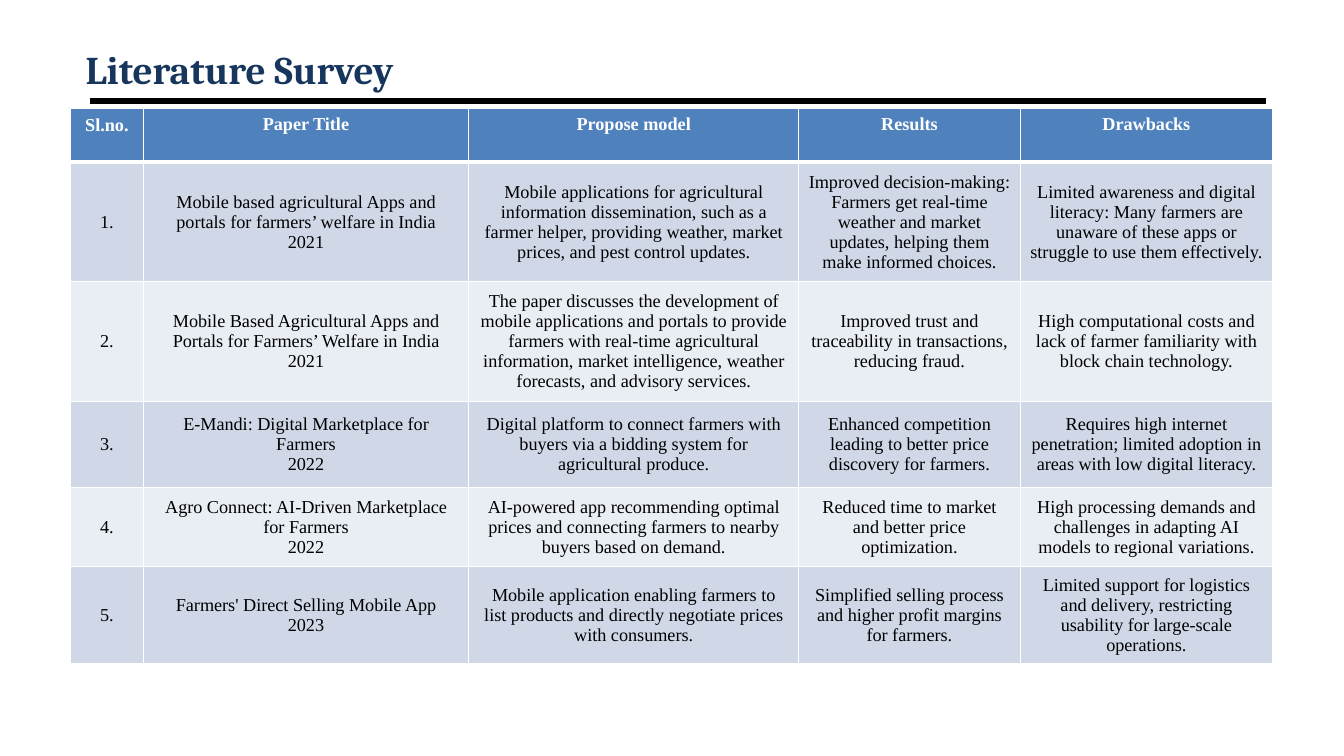
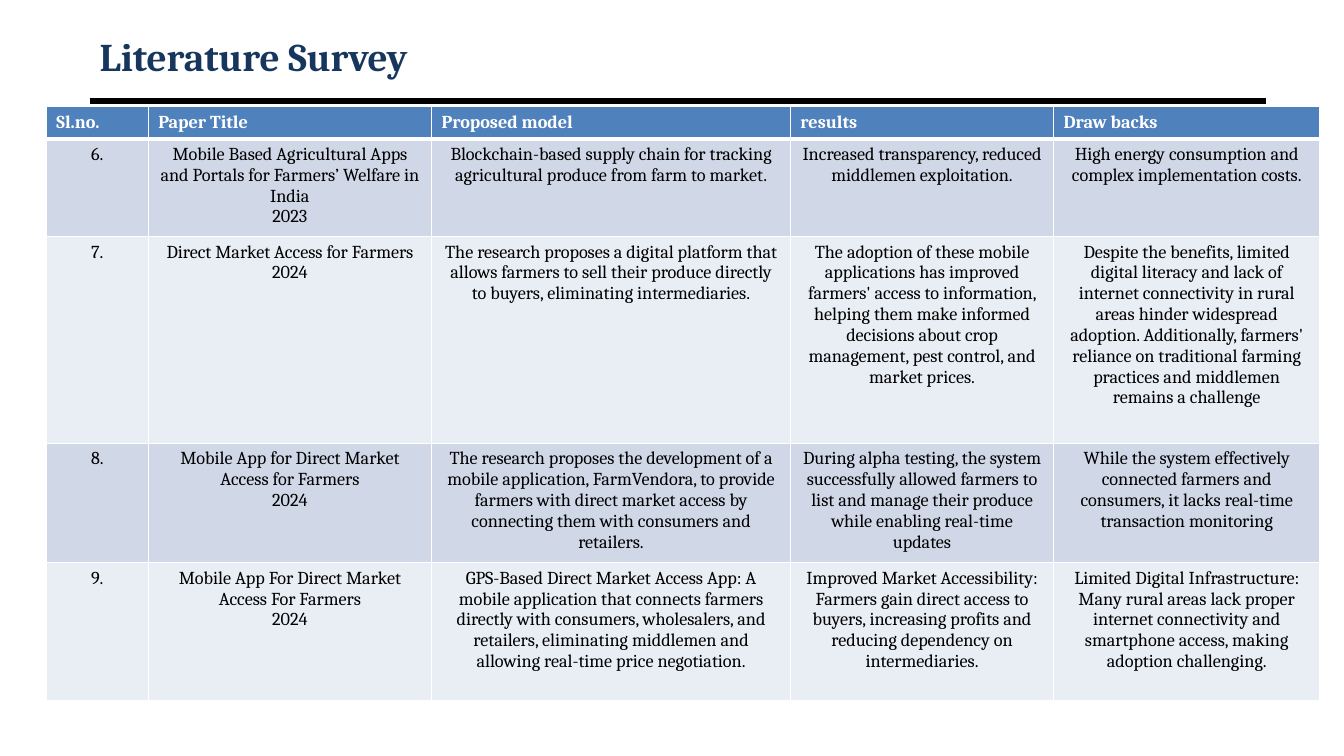
from lxml import etree
from pptx import Presentation
from pptx.dml.color import RGBColor
from pptx.enum import shapes, text
from pptx.oxml import ns
from pptx.util import Inches, Pt

NAVY, BLACK, WHITE = "17365D", "000000", "FFFFFF"
HEADER_FILL, BANDS = "4F81BD", ("D0D8E8", "E9EDF4")
SERIF, TIMES = "Cambria", "Times New Roman"
MIDDLE, TOP = text.MSO_ANCHOR.MIDDLE, text.MSO_ANCHOR.TOP
CENTER, LEFT = text.PP_ALIGN.CENTER, text.PP_ALIGN.LEFT

# Rows: number, paper title and year, model, results, drawbacks
EARLY_PAPERS = [
    ("Sl.no.", "Paper Title", "Propose model", "Results", "Drawbacks"),
    ("1.", "Mobile based agricultural Apps and portals for farmers’ welfare in India\n2021",
     "Mobile applications for agricultural information dissemination, such as a farmer helper, "
     "providing weather, market prices, and pest control updates.",
     "Improved decision-making: Farmers get real-time weather and market updates, "
     "helping them make informed choices.",
     "Limited awareness and digital literacy: Many farmers are unaware of these apps "
     "or struggle to use them effectively."),
    ("2.", "Mobile Based Agricultural Apps and Portals for Farmers’ Welfare in India\n2021",
     "The paper discusses the development of mobile applications and portals to provide farmers "
     "with real-time agricultural information, market intelligence, weather forecasts, "
     "and advisory services.",
     "Improved trust and traceability in transactions, reducing fraud.",
     "High computational costs and lack of farmer familiarity with block chain technology."),
    ("3.", "E-Mandi: Digital Marketplace for Farmers\n2022",
     "Digital platform to connect farmers with buyers via a bidding system for "
     "agricultural produce.",
     "Enhanced competition leading to better price discovery for farmers.",
     "Requires high internet penetration; limited adoption in areas with low digital literacy."),
    ("4.", "Agro Connect: AI-Driven Marketplace for Farmers\n2022",
     "AI-powered app recommending optimal prices and connecting farmers to nearby buyers "
     "based on demand.",
     "Reduced time to market and better price optimization.",
     "High processing demands and challenges in adapting AI models to regional variations."),
    ("5.", "Farmers' Direct Selling Mobile App\n2023",
     "Mobile application enabling farmers to list products and directly negotiate prices "
     "with consumers.",
     "Simplified selling process and higher profit margins for farmers.",
     "Limited support for logistics and delivery, restricting usability for "
     "large-scale operations."),
]
LATER_PAPERS = [
    ("Sl.no.", "Paper Title", "Proposed model", "results", "Draw backs"),
    ("6.", "Mobile Based Agricultural Apps and Portals for Farmers’ Welfare in India\n2023",
     "Blockchain-based supply chain for tracking agricultural produce from farm to market.",
     "Increased transparency, reduced middlemen exploitation.",
     "High energy consumption and complex implementation costs."),
    ("7.", "Direct Market Access for Farmers\n2024",
     "The research proposes a digital platform that allows farmers to sell their produce "
     "directly to buyers, eliminating intermediaries.",
     "The adoption of these mobile applications has improved farmers' access to information, "
     "helping them make informed decisions about crop management, pest control, "
     "and market prices.",
     "Despite the benefits, limited digital literacy and lack of internet connectivity in rural "
     "areas hinder widespread adoption. Additionally, farmers' reliance on traditional farming "
     "practices and middlemen remains a challenge"),
    ("8.", "Mobile App for Direct Market Access for Farmers\n2024",
     "The research proposes the development of a mobile application, FarmVendora, to provide "
     "farmers with direct market access by connecting them with consumers and retailers.",
     "During alpha testing, the system successfully allowed farmers to list and manage their "
     "produce while enabling real-time updates",
     "While the system effectively connected farmers and consumers, it lacks real-time "
     "transaction monitoring"),
    ("9.", "Mobile App For Direct Market Access For Farmers\n2024",
     "GPS-Based Direct Market Access App: A mobile application that connects farmers directly "
     "with consumers, wholesalers, and retailers, eliminating middlemen and allowing real-time "
     "price negotiation.",
     "Improved Market Accessibility: Farmers gain direct access to buyers, increasing profits "
     "and reducing dependency on intermediaries.",
     "Limited Digital Infrastructure: Many rural areas lack proper internet connectivity and "
     "smartphone access, making adoption challenging."),
]


def rgb(value):
    return RGBColor.from_string(value)


def style_font(font, face, size, color, bold):
    font.name, font.size, font.bold = face, Pt(size), bold
    font.color.rgb = rgb(color)


def add_rule(slide):
    rule = slide.shapes.add_connector(
        shapes.MSO_CONNECTOR.STRAIGHT, Inches(0.89), Inches(1), Inches(12.56), Inches(1))
    rule.line.color.rgb = rgb(BLACK)
    rule.line.width = Pt(4.5)
    etree.SubElement(rule.element.spPr, ns.qn("a:effectLst"))


def add_title(slide, left, top, line_spacing=1, margin=0, indent=0):
    box = slide.shapes.add_textbox(Inches(left), Inches(top), Inches(11.67), Inches(0.53))
    frame = box.text_frame
    frame.word_wrap = True
    frame.vertical_anchor = MIDDLE
    frame.text = "Literature Survey"
    heading = frame.paragraphs[0]
    heading.line_spacing = line_spacing
    properties = heading._p.get_or_add_pPr()
    properties.set("marL", str(Inches(margin)))
    properties.set("indent", str(Inches(indent)))
    style_font(heading.runs[0].font, SERIF, 28, NAVY, True)


def add_borders(cell, top, bottom):
    properties = cell._tc.get_or_add_tcPr()
    for side, width in (("L", 1), ("R", 1), ("T", top), ("B", bottom)):
        edge = etree.SubElement(properties, ns.qn(f"a:ln{side}"), w=str(Pt(width)))
        fill = etree.SubElement(edge, ns.qn("a:solidFill"))
        etree.SubElement(fill, ns.qn("a:srgbClr"), val=WHITE)


def add_papers(slide, left, top, widths, heights, papers, face, header_align, body_anchor):
    table = slide.shapes.add_table(
        len(papers), len(widths), Inches(left), Inches(top),
        Inches(sum(widths)), Inches(sum(heights))).table
    for column, width in zip(table.columns, widths):
        column.width = Inches(width)
    for r, (paper, height) in enumerate(zip(papers, heights)):
        table.rows[r].height = Inches(height)
        header = r == 0
        for c, entry in enumerate(paper):
            cell = table.cell(r, c)
            add_borders(cell, top=3 if r == 1 else 1, bottom=3 if header else 1)
            cell.fill.solid()
            cell.fill.fore_color.rgb = rgb(HEADER_FILL if header else BANDS[(r - 1) % 2])
            cell.vertical_anchor = TOP if header else body_anchor
            cell.text_frame.text = entry
            for paragraph in cell.text_frame.paragraphs:
                paragraph.alignment = header_align if header else CENTER
                for run in paragraph.runs:
                    style_font(run.font, face, 13, WHITE if header else BLACK, header)
    return table


def early_slide(slide):
    add_rule(slide)
    add_title(slide, 0.59, 0.18, line_spacing=2, margin=0.54, indent=-0.38)
    table = add_papers(
        slide, 0.7, 1.08, [0.72, 3.23, 3.27, 2.2, 2.5], [0.53, 1.15, 1.18, 0.86, 0.78, 0.89],
        EARLY_PAPERS, TIMES, CENTER, MIDDLE)
    table.cell(0, 0).margin_top = Inches(0.07)


def later_slide(slide):
    add_rule(slide)
    add_title(slide, 0.89, 0.29)
    add_papers(
        slide, 0.46, 1.06, [1.01, 2.81, 3.56, 2.61, 2.64], [0.32, 0.97, 2.05, 1.18, 1.37],
        LATER_PAPERS, SERIF, LEFT, TOP)


def main():
    deck = Presentation()
    deck.slide_width, deck.slide_height = Inches(13.33), Inches(7.5)
    for build in (early_slide, later_slide):
        build(deck.slides.add_slide(deck.slide_layouts[6]))
    deck.save("out.pptx")


if __name__ == "__main__":
    main()
